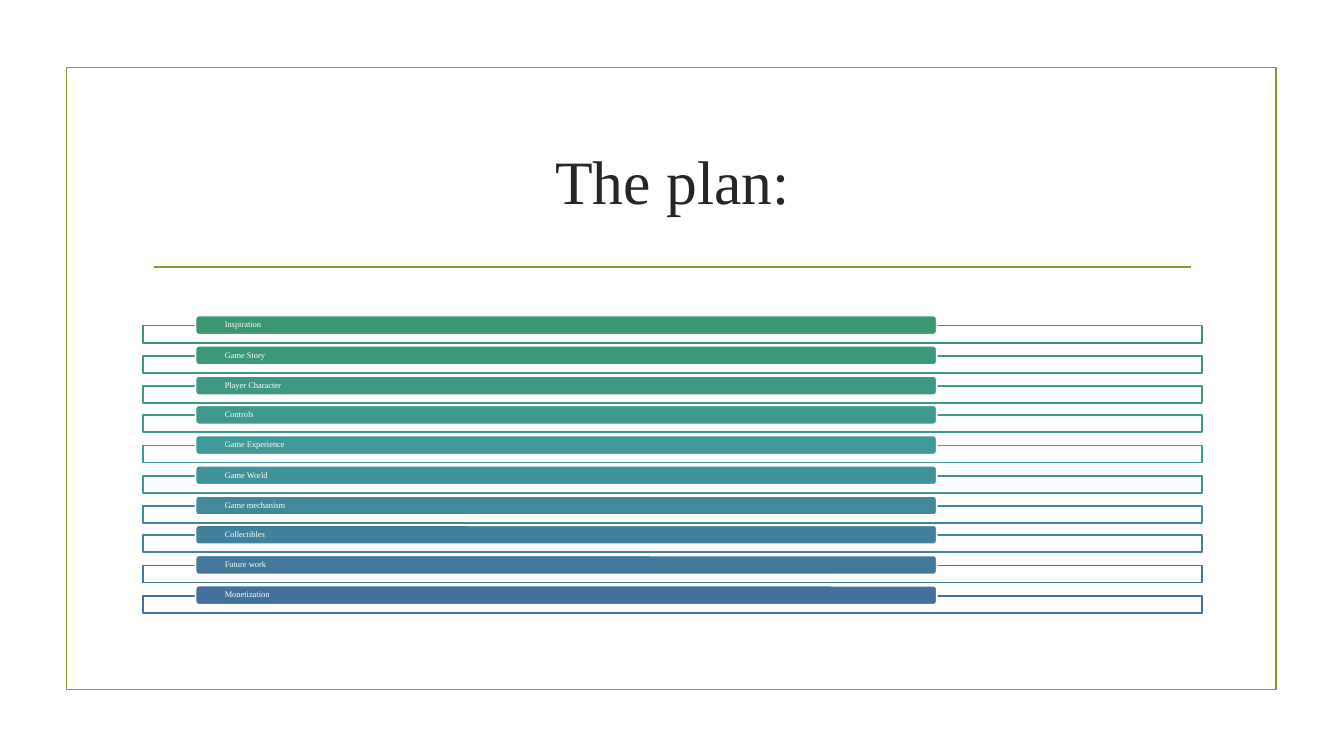
"""Build a slide that lists the plan of a game talk as ten labelled bars."""
from lxml import etree
from pptx import Presentation
from pptx.dml.color import RGBColor
from pptx.enum.shapes import MSO_CONNECTOR, MSO_SHAPE
from pptx.enum.text import MSO_ANCHOR, PP_ALIGN
from pptx.oxml.ns import qn
from pptx.util import Emu, Pt

EMU_PER_PX = 9144
RECTANGLE = MSO_SHAPE.RECTANGLE
ROUNDED = MSO_SHAPE.ROUNDED_RECTANGLE
STRAIGHT = MSO_CONNECTOR.STRAIGHT
MIDDLE = MSO_ANCHOR.MIDDLE
LEFT, CENTER = PP_ALIGN.LEFT, PP_ALIGN.CENTER

FONT = "Times New Roman"
LINE_WIDTH = Pt(1.25)
WHITE = RGBColor(0xFF, 0xFF, 0xFF)
OLIVE = RGBColor(0x83, 0x99, 0x2A)
INK = RGBColor(0x26, 0x26, 0x26)

TOPICS = [
    ("Inspiration", RGBColor(0x3C, 0x97, 0x70)),
    ("Game Story", RGBColor(0x3D, 0x98, 0x7A)),
    ("Player Character", RGBColor(0x3E, 0x98, 0x84)),
    ("Controls", RGBColor(0x3F, 0x99, 0x8E)),
    ("Game Experience", RGBColor(0x3F, 0x9A, 0x99)),
    ("Game World", RGBColor(0x40, 0x92, 0x9A)),
    ("Game mechanism", RGBColor(0x41, 0x8A, 0x9B)),
    ("Collectibles", RGBColor(0x42, 0x81, 0x9C)),
    ("Future work", RGBColor(0x43, 0x78, 0x9C)),
    ("Monetization", RGBColor(0x44, 0x70, 0x9D)),
]
FIRST_TOP = 313
LAST_TOP = 581


def px(length):
    """Turn a length in px into EMU."""
    return Emu(round(length) * EMU_PER_PX)


def write_text(shape, text, *, size, color, align=LEFT, inset_x=10, inset_y=5, spacing=1.0):
    """Write one vertically centred paragraph into a shape."""
    frame = shape.text_frame
    frame.word_wrap = True
    frame.vertical_anchor = MIDDLE
    frame.margin_left = frame.margin_right = px(inset_x)
    frame.margin_top = frame.margin_bottom = px(inset_y)
    paragraph = frame.paragraphs[0]
    paragraph.alignment = align
    paragraph.line_spacing = spacing
    run = paragraph.add_run()
    run.text = text
    run.font.name = FONT
    run.font.size = Pt(size)
    run.font.color.rgb = color


def add_box(slide, kind, left, top, width, height, *, line, fill=None):
    """Add an outlined preset shape, filled or open."""
    shape = slide.shapes.add_shape(kind, px(left), px(top), px(width), px(height))
    shape.shadow.inherit = False
    if fill is None:
        shape.fill.background()
    else:
        shape.fill.solid()
        shape.fill.fore_color.rgb = fill
    shape.line.color.rgb = line
    shape.line.width = LINE_WIDTH
    return shape


def add_rule(slide, left, right, top):
    """Add a horizontal olive line."""
    rule = slide.shapes.add_connector(STRAIGHT, px(left), px(top), px(right), px(top))
    rule.line.color.rgb = OLIVE
    rule.line.width = LINE_WIDTH
    etree.SubElement(rule._element.spPr, qn("a:effectLst"))


def add_title(slide, text):
    """Add the centred slide title."""
    title = slide.shapes.add_textbox(px(142), px(107), px(1050), px(143))
    write_text(title, text, size=44, color=INK, align=CENTER)


def add_topic(slide, text, color, top):
    """Add one topic: an outlined strip with a labelled bar over its top edge."""
    add_box(slide, RECTANGLE, 142, top + 10, 1050, 17, line=color, fill=WHITE)
    bar = add_box(slide, ROUNDED, 194, top, 735, 19, line=WHITE, fill=color)
    write_text(bar, text, size=6, color=WHITE, inset_x=28, inset_y=0, spacing=0.9)


def main():
    """Build and save the slide."""
    presentation = Presentation()
    presentation.slide_width = px(1333)
    presentation.slide_height = px(750)
    slide = presentation.slides.add_slide(presentation.slide_layouts[6])
    add_box(slide, RECTANGLE, 66, 67, 1200, 617, line=OLIVE)
    add_rule(slide, 153, 1181, 265)
    add_title(slide, "The plan:")
    pitch = (LAST_TOP - FIRST_TOP) / (len(TOPICS) - 1)
    for index, (text, color) in enumerate(TOPICS):
        add_topic(slide, text, color, round(FIRST_TOP + index * pitch))
    presentation.save("out.pptx")


if __name__ == "__main__":
    main()
